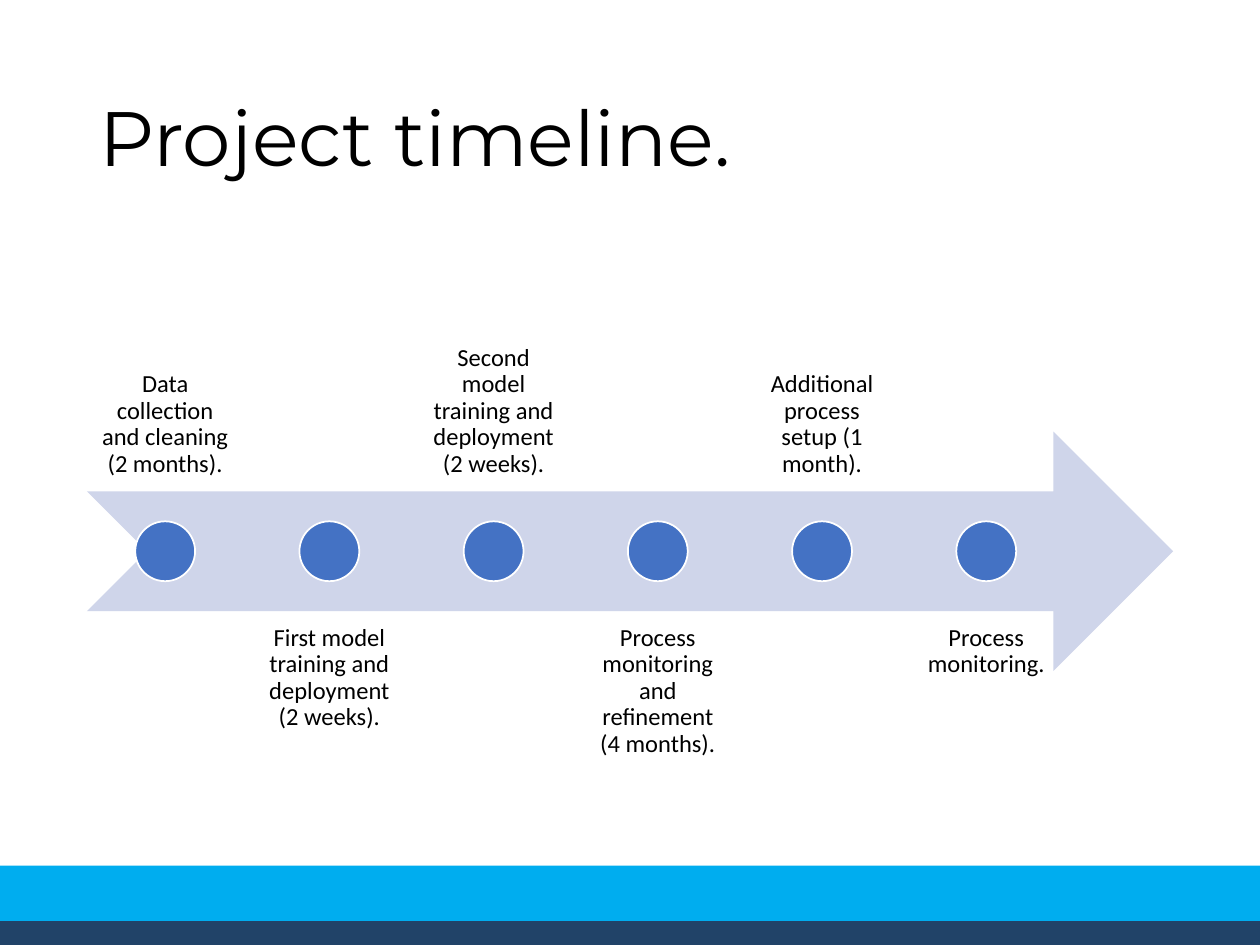
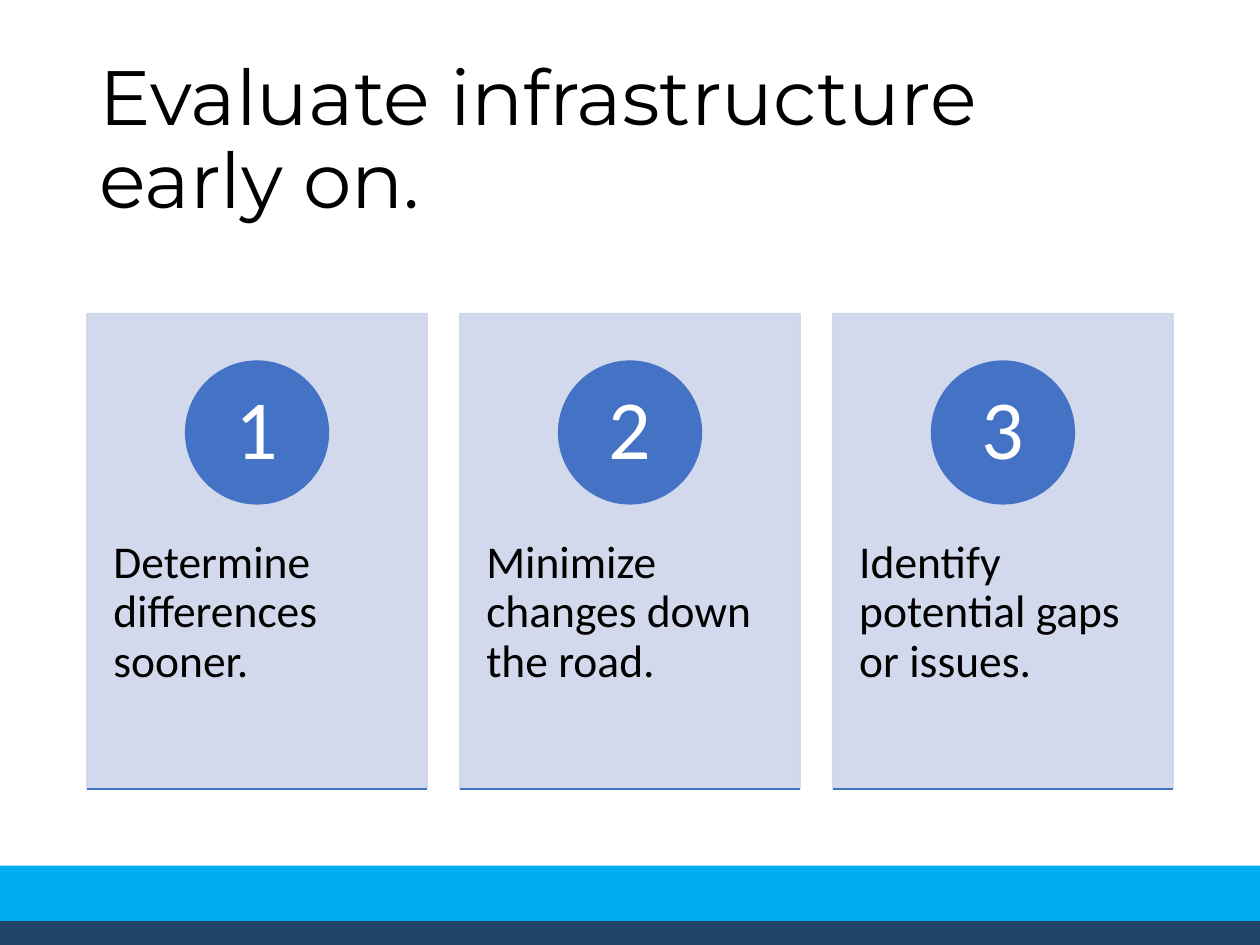
from collections import namedtuple

from lxml import etree
from pptx import Presentation
from pptx.dml.color import RGBColor
from pptx.enum.shapes import MSO_CONNECTOR, MSO_SHAPE
from pptx.enum.text import MSO_ANCHOR as Anchor, MSO_AUTO_SIZE, PP_ALIGN as Align
from pptx.oxml.ns import qn
from pptx.util import Inches, Pt

BLACK = RGBColor(0x00, 0x00, 0x00)
WHITE = RGBColor(0xFF, 0xFF, 0xFF)
SKY = RGBColor(0x00, 0xAD, 0xEF)
NAVY = RGBColor(0x21, 0x43, 0x68)
BLUE = RGBColor(0x44, 0x72, 0xC4)
PALE = RGBColor(0xCF, 0xD5, 0xEA)

TITLE_FONT = "Montserrat"
BODY_FONT = "Calibri"

Box = namedtuple("Box", "left top width height")

PAGE = Box(0, 0, 10, 7.5)
MARGIN = 0.69
CONTENT_WIDTH = PAGE.width - 2 * MARGIN
TITLE_BOX = Box(MARGIN, 0.4, CONTENT_WIDTH, 1.45)
TIMELINE_BOX = Box(MARGIN, 2, CONTENT_WIDTH, 4.75)
CARDS_BOX = Box(MARGIN, 2.49, CONTENT_WIDTH, 3.77)
BANDS = [(6.87, 0.6, SKY), (7.31, 0.19, NAVY)]

MILESTONES = [
    "Data collection and cleaning (2 months).",
    "First model training and deployment (2 weeks).",
    "Second model training and deployment (2 weeks).",
    "Process monitoring and refinement (4 months).",
    "Additional process setup (1 month).",
    "Process monitoring.",
]
REASONS = [
    "Determine differences sooner.",
    "Minimize changes down the road.",
    "Identify potential gaps or issues.",
]


def emu(box):
    return [Inches(length) for length in box]


def share(box, left, top, width, height):
    return Box(box.left + left * box.width, box.top + top * box.height,
               width * box.width, height * box.height)


def centred(x, y, size):
    return Box(x - size / 2, y - size / 2, size, size)


def write(shape, text, size, color=BLACK, font=BODY_FONT, align=Align.LEFT,
          anchor=Anchor.TOP, insets=(0.1, 0.05)):
    frame = shape.text_frame
    frame.text = text
    frame.word_wrap = True
    frame.auto_size = MSO_AUTO_SIZE.NONE
    frame.vertical_anchor = anchor
    frame.margin_left = frame.margin_right = Inches(insets[0])
    frame.margin_top = frame.margin_bottom = Inches(insets[1])
    paragraph = frame.paragraphs[0]
    paragraph.alignment = align
    paragraph.line_spacing = 0.9
    paragraph.font.name = font
    paragraph.font.size = Pt(size)
    paragraph.font.color.rgb = color


def add_filled(slide, kind, box, fill, line=None):
    shape = slide.shapes.add_shape(kind, *emu(box))
    shape.shadow.inherit = False
    shape.fill.solid()
    shape.fill.fore_color.rgb = fill
    if line is None:
        shape.line.fill.background()
    else:
        shape.line.color.rgb = line
        shape.line.width = Pt(1)
    return shape


def add_label(slide, box, text, size, **style):
    write(slide.shapes.add_textbox(*emu(box)), text, size, **style)


def add_rule(slide, box):
    bottom = box.top + box.height
    rule = slide.shapes.add_connector(
        MSO_CONNECTOR.STRAIGHT,
        *emu((box.left, bottom, box.left + box.width, bottom)))
    rule.line.color.rgb = BLUE
    rule.line.width = Pt(1)
    etree.SubElement(rule._element.spPr, qn("a:effectLst"))


def make_translucent(shape, percent):
    for color in shape._element.spPr.iter(qn("a:srgbClr")):
        etree.SubElement(color, qn("a:alpha"), val=str(percent * 1000))


def add_titled_slide(presentation, text):
    slide = presentation.slides.add_slide(presentation.slide_layouts[5])
    title = slide.shapes.title
    title.left, title.top, title.width, title.height = emu(TITLE_BOX)
    write(title, text, 44, font=TITLE_FONT, anchor=Anchor.MIDDLE)
    for top, height, color in BANDS:
        band = Box(PAGE.left, top, PAGE.width, height)
        add_filled(slide, MSO_SHAPE.RECTANGLE, band, color)
    return slide


def add_timeline(slide, box, milestones):
    arrow = share(box, 0, 0.3, 1, 0.4)
    add_filled(slide, MSO_SHAPE.NOTCHED_RIGHT_ARROW, arrow, PALE)
    count = len(milestones)
    column = 0.9 / (count + (count - 1) * 0.05)
    for index, milestone in enumerate(milestones):
        above = index % 2 == 0
        label = share(box, index * column * 1.05, 0 if above else 0.6, column, 0.4)
        add_label(slide, label, milestone, 14, align=Align.CENTER,
                  anchor=Anchor.BOTTOM if above else Anchor.TOP, insets=(0.11, 0.11))
        dot = centred(label.left + label.width / 2, box.top + box.height / 2,
                      arrow.height / 4)
        add_filled(slide, MSO_SHAPE.OVAL, dot, BLUE, WHITE)


def add_card(slide, box, number, text):
    card = add_filled(slide, MSO_SHAPE.RECTANGLE, box, PALE, PALE)
    make_translucent(card, 90)
    add_label(slide, share(box, 0, 0.38, 1, 0.6), text, 26, insets=(0.21, 0.36))
    circle = centred(box.left + box.width / 2, box.top + box.height / 4,
                     box.height * 0.3)
    badge = add_filled(slide, MSO_SHAPE.OVAL, circle, BLUE, BLUE)
    write(badge, str(number), 48, color=WHITE, align=Align.CENTER,
          anchor=Anchor.MIDDLE, insets=(0.09, 0.01))
    add_rule(slide, box)


def add_cards(slide, box, texts):
    width = 2.7
    pitch = (box.width - width) / (len(texts) - 1)
    for index, text in enumerate(texts):
        card_box = Box(box.left + index * pitch, box.top, width, box.height)
        add_card(slide, card_box, index + 1, text)


def main():
    presentation = Presentation()
    presentation.slide_width = Inches(PAGE.width)
    presentation.slide_height = Inches(PAGE.height)
    timeline_slide = add_titled_slide(presentation, "Project timeline.")
    add_timeline(timeline_slide, TIMELINE_BOX, MILESTONES)
    cards_slide = add_titled_slide(presentation, "Evaluate infrastructure early on.")
    add_cards(cards_slide, CARDS_BOX, REASONS)
    presentation.save("out.pptx")


if __name__ == "__main__":
    main()
